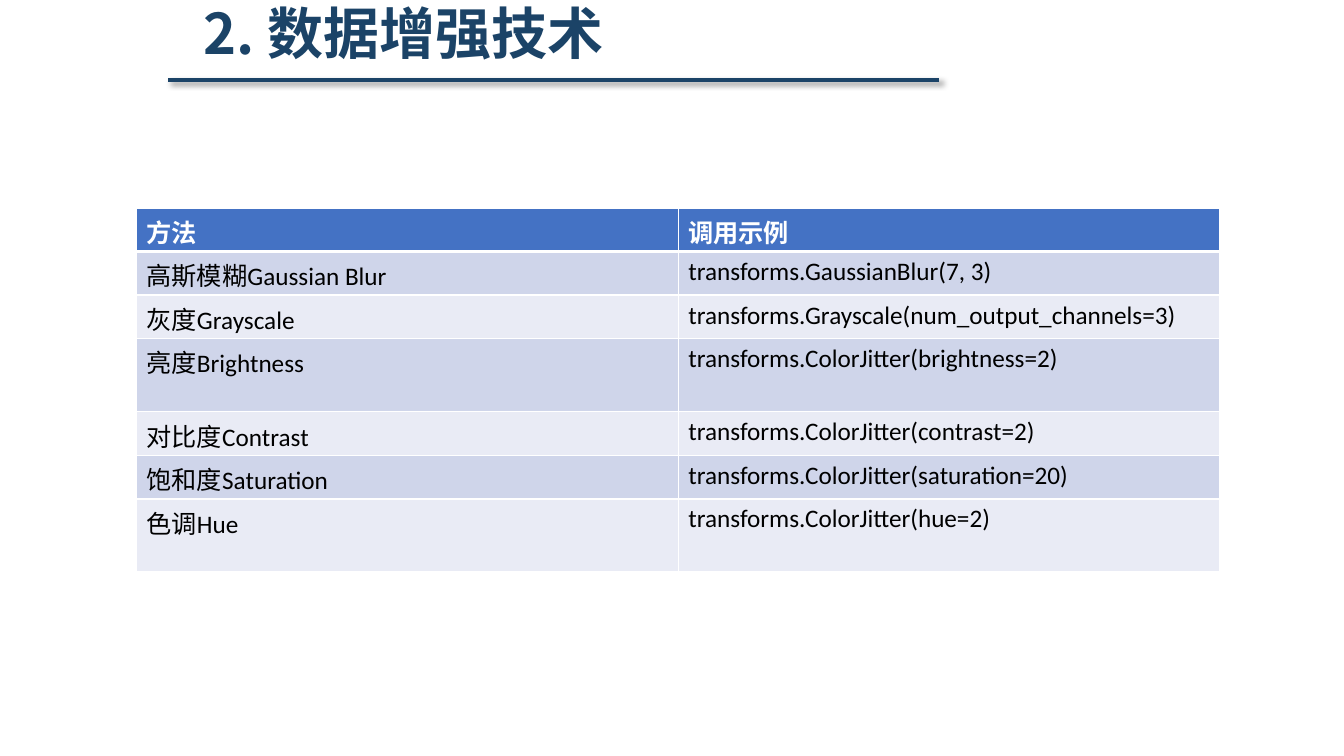
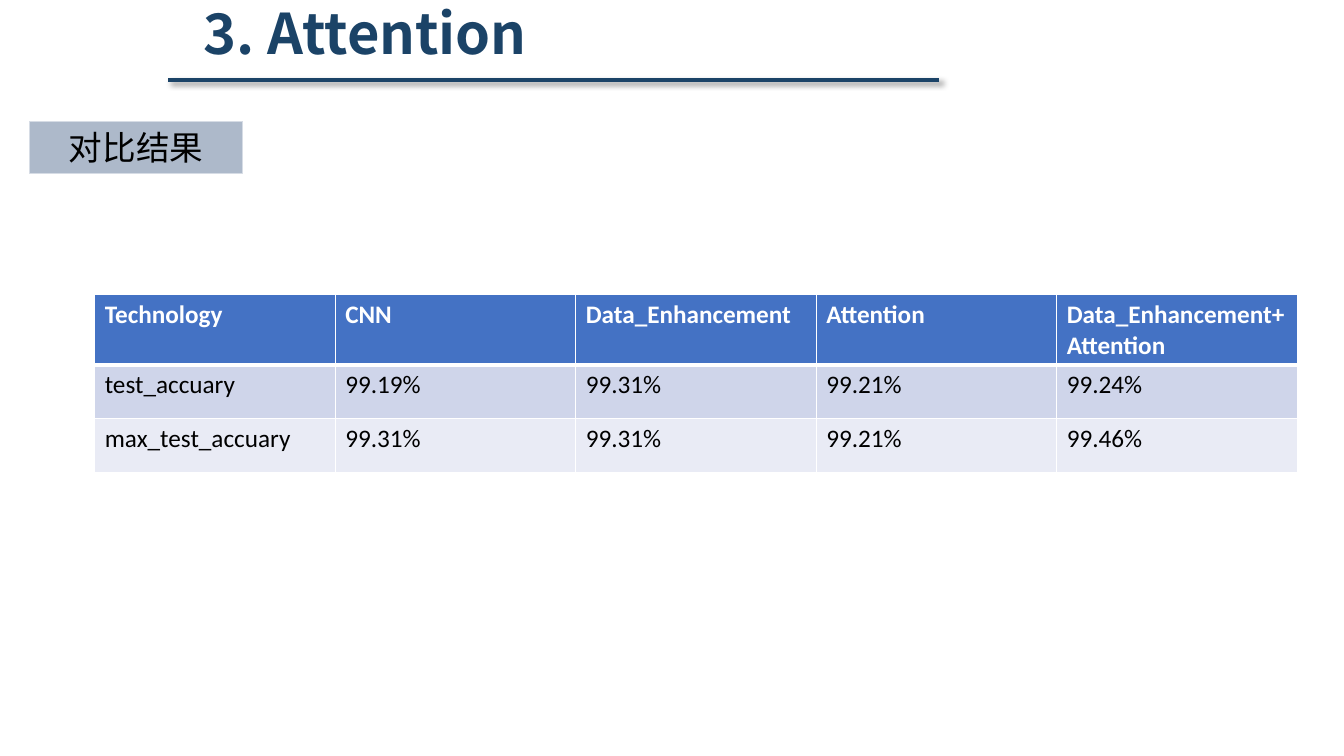
from dataclasses import dataclass

from lxml import etree
from pptx import Presentation
from pptx.dml.color import RGBColor
from pptx.enum.shapes import MSO_CONNECTOR, MSO_SHAPE
from pptx.enum.text import MSO_ANCHOR, MSO_AUTO_SIZE, PP_ALIGN
from pptx.oxml.ns import qn
from pptx.util import Pt

STRAIGHT = MSO_CONNECTOR.STRAIGHT
RECTANGLE = MSO_SHAPE.RECTANGLE
TOP, MIDDLE = MSO_ANCHOR.TOP, MSO_ANCHOR.MIDDLE
LEFT, CENTER = PP_ALIGN.LEFT, PP_ALIGN.CENTER
GROW = MSO_AUTO_SIZE.SHAPE_TO_FIT_TEXT

NAVY = RGBColor(0x1B, 0x43, 0x67)
WHITE = RGBColor(0xFF, 0xFF, 0xFF)
BLACK = RGBColor(0, 0, 0)
HEADER_BLUE = RGBColor(0x44, 0x72, 0xC4)
BANDS = (RGBColor(0xCF, 0xD5, 0xEA), RGBColor(0xE9, 0xEB, 0xF5))
BADGE_FILL = RGBColor(0xAD, 0xB9, 0xCA)
BADGE_LINE = RGBColor(0xD6, 0xDC, 0xE5)

TITLE_FONT = "Noto Sans CJK SC"
TABLE_FONT = "Calibri"
BADGE_FONT = "Times New Roman"
THIN, THICK = 1, 3


@dataclass(frozen=True)
class Box:
    left: float
    top: float
    width: float
    height: float


@dataclass(frozen=True)
class Grid:
    left: float
    top: float
    column_width: float
    row_heights: tuple[float, ...]
    rows: tuple[tuple[str, ...], ...]


TITLE_BOX = Box(140.4, 1.5, 519, 54)
RULE = Box(120.2, 57.2, 550.8, 0)
BADGE_BOX = Box(21, 86.6, 152.4, 37.2)

METHODS = Grid(
    97.5, 148.5, 387,
    (31.1, 31.1, 31.1, 52.4, 31.1, 31.1, 52),
    (
        ("方法", "调用示例"),
        ("高斯模糊Gaussian Blur", "transforms.GaussianBlur(7, 3)"),
        ("灰度Grayscale", "transforms.Grayscale(num_output_channels=3)"),
        ("亮度Brightness", "transforms.ColorJitter(brightness=2)"),
        ("对比度Contrast", "transforms.ColorJitter(contrast=2)"),
        ("饱和度Saturation", "transforms.ColorJitter(saturation=20)"),
        ("色调Hue", "transforms.ColorJitter(hue=2)"),
    ),
)
RESULTS = Grid(
    67.7, 210.2, 171.8,
    (50, 38.6, 38.6),
    (
        ("Technology", "CNN", "Data_Enhancement", "Attention",
         "Data_Enhancement+Attention"),
        ("test_accuary", "99.19%", "99.31%", "99.21%", "99.24%"),
        ("max_test_accuary", "99.31%", "99.31%", "99.21%", "99.46%"),
    ),
)


def style_font(font, name: str, size: float, color: RGBColor, bold: bool = False) -> None:
    font.name, font.size, font.bold = name, Pt(size), bold
    font.color.rgb = color


def place(shape, box: Box) -> None:
    shape.left, shape.top = Pt(box.left), Pt(box.top)
    shape.width, shape.height = Pt(box.width), Pt(box.height)


def add_color(parent, color: RGBColor):
    fill = etree.SubElement(parent, qn("a:solidFill"))
    return etree.SubElement(fill, qn("a:srgbClr"), val=str(color))


def add_rule(page) -> None:
    right = RULE.left + RULE.width
    rule = page.shapes.add_connector(
        STRAIGHT, Pt(RULE.left), Pt(RULE.top), Pt(right), Pt(RULE.top))
    rule.line.color.rgb = NAVY
    rule.line.width = Pt(3)
    # Soft shadow to the lower right
    effects = etree.SubElement(rule._element.spPr, qn("a:effectLst"))
    shadow = etree.SubElement(
        effects, qn("a:outerShdw"), blurRad=str(Pt(4)), dist=str(Pt(3)),
        dir=str(45 * 60000), algn="tl", rotWithShape="0")
    black = etree.SubElement(shadow, qn("a:srgbClr"), val=str(BLACK))
    etree.SubElement(black, qn("a:alpha"), val="40000")


def add_page(deck, heading: str):
    page = deck.slides.add_slide(deck.slide_layouts[5])
    title = page.shapes.title
    place(title, TITLE_BOX)
    frame = title.text_frame
    frame.text = heading
    frame.word_wrap, frame.auto_size = True, GROW
    frame.vertical_anchor = TOP
    frame.margin_left = frame.margin_right = Pt(5)
    frame.margin_top = frame.margin_bottom = Pt(3)
    para = frame.paragraphs[0]
    para.alignment, para.line_spacing = LEFT, 0.9
    span = para.runs[0]
    style_font(span.font, TITLE_FONT, 40, NAVY, bold=True)
    etree.SubElement(span._r.get_or_add_rPr(), qn("a:ea"), typeface=TITLE_FONT)
    add_rule(page)
    return page


def set_borders(cell, top: float, bottom: float) -> None:
    properties = cell._tc.get_or_add_tcPr()
    widths = {"a:lnL": THIN, "a:lnR": THIN, "a:lnT": top, "a:lnB": bottom}
    for tag, width in widths.items():
        add_color(etree.SubElement(properties, qn(tag), w=str(Pt(width))), WHITE)


def add_grid(page, grid: Grid) -> None:
    column_count = len(grid.rows[0])
    table = page.shapes.add_table(
        len(grid.rows), column_count, Pt(grid.left), Pt(grid.top),
        Pt(grid.column_width * column_count), Pt(sum(grid.row_heights))).table
    for column in table.columns:
        column.width = Pt(grid.column_width)
    for index, (height, texts) in enumerate(zip(grid.row_heights, grid.rows)):
        table.rows[index].height = Pt(height)
        header = index == 0
        for cell, text in zip(table.rows[index].cells, texts):
            set_borders(cell, THICK if index == 1 else THIN, THICK if header else THIN)
            cell.fill.solid()
            cell.fill.fore_color.rgb = HEADER_BLUE if header else BANDS[(index - 1) % 2]
            cell.text_frame.text = text
            style_font(cell.text_frame.paragraphs[0].runs[0].font, TABLE_FONT, 18,
                       WHITE if header else BLACK, bold=header)


def add_badge(page, text: str) -> None:
    box = BADGE_BOX
    badge = page.shapes.add_shape(
        RECTANGLE, Pt(box.left), Pt(box.top), Pt(box.width), Pt(box.height))
    badge.shadow.inherit = False
    badge.fill.solid()
    badge.fill.fore_color.rgb = BADGE_FILL
    badge.line.color.rgb = BADGE_LINE
    badge.line.width = Pt(1)
    frame = badge.text_frame
    frame.text = text
    frame.vertical_anchor = MIDDLE
    para = frame.paragraphs[0]
    para.alignment = CENTER
    style_font(para.runs[0].font, BADGE_FONT, 24, BLACK)


def main() -> None:
    deck = Presentation()
    deck.slide_width, deck.slide_height = Pt(960), Pt(540)

    # Augmentation methods
    page = add_page(deck, "2. 数据增强技术")
    add_grid(page, METHODS)

    # Comparison of results
    page = add_page(deck, "3. Attention")
    add_badge(page, "对比结果")
    add_grid(page, RESULTS)

    deck.save("out.pptx")


if __name__ == "__main__":
    main()
